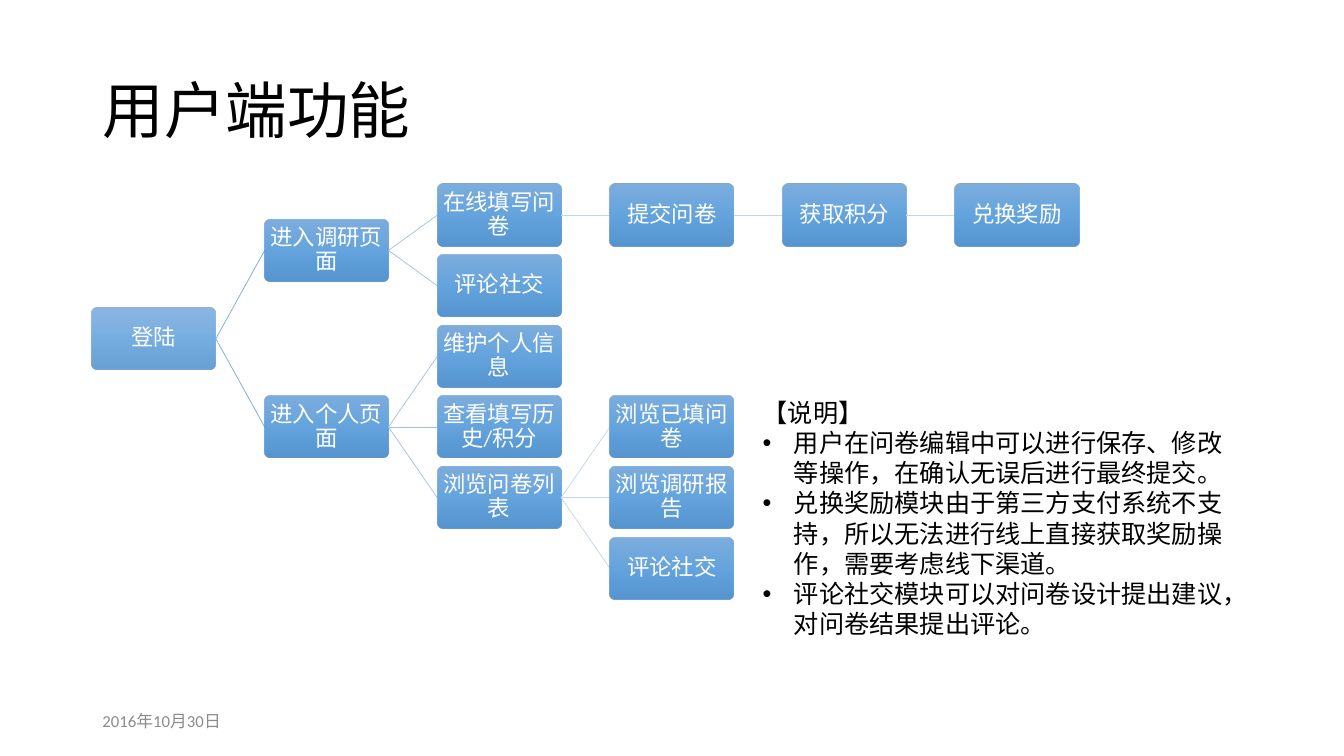
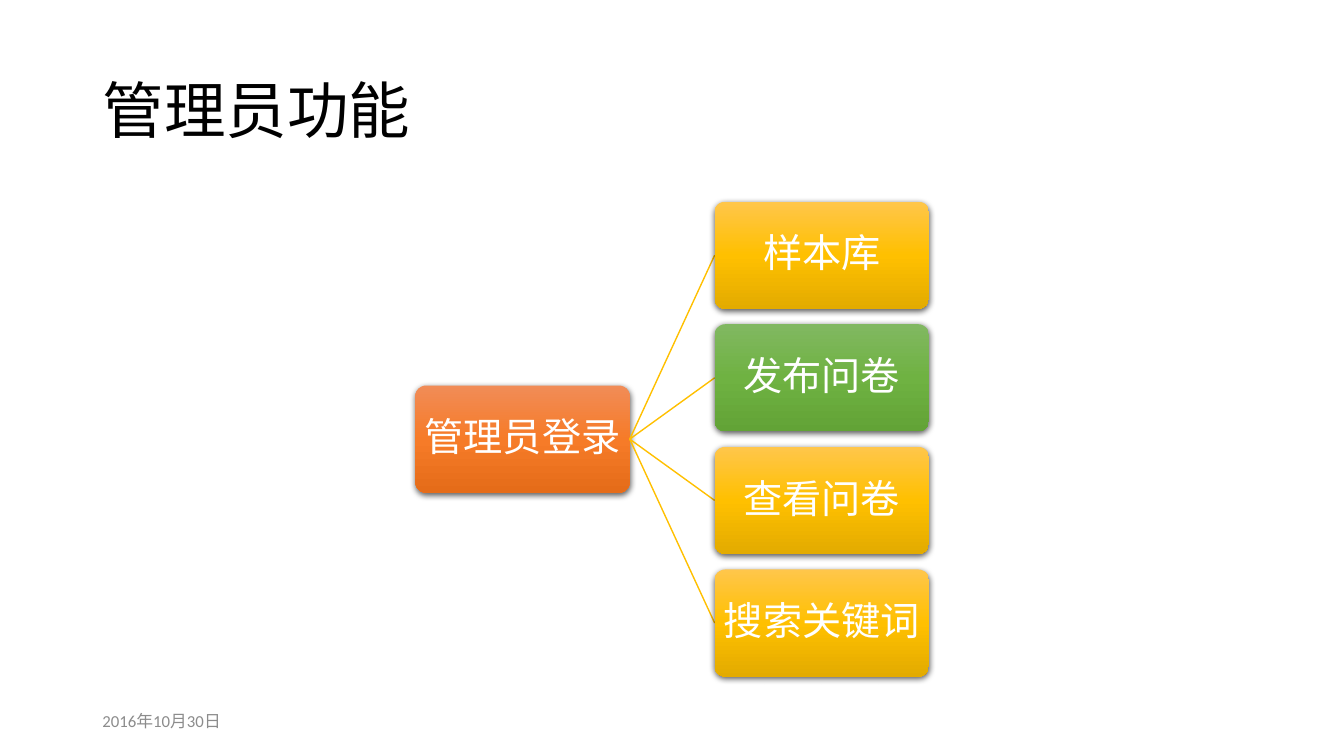
"""Build two slides that show user and administrator functions as trees."""
from dataclasses import dataclass

from lxml import etree
from pptx import Presentation, util as u
from pptx.dml.color import RGBColor
from pptx.enum import lang, shapes, text
from pptx.oxml import ns

FONT = "Calibri"
BLACK, WHITE, GREY = "000000", "FFFFFF", "8C8C8C"
BLUE = ("71A6DB", "559BDB", "448ACA")
ORANGE = ("F18C57", "F67B28", "E56C19")
GOLD = ("FFC64B", "FFC000", "E3AB00")
GREEN = ("81B861", "6FB242", "62A336")
DATE = "2016年10月30日"
MARGIN, CONTENT_WIDTH = 2.33, 29.21


@dataclass(frozen=True)
class Node:
    """A box of a tree; a parent is centred on its children."""
    label: str
    row: float = 0
    children: tuple["Node", ...] = ()
    colors: tuple[str, ...] = BLUE
    alpha: int = 90

    @property
    def level(self) -> float:
        """Return the row the box stands on."""
        if not self.children:
            return self.row
        return (self.children[0].level + self.children[-1].level) / 2


@dataclass(frozen=True)
class TreeStyle:
    """Grid in centimetres and formats of a tree."""
    left: float
    top: float
    col_step: float
    row_step: float
    width: float
    height: float
    inset: float
    size: int
    line_colors: tuple[str, ...]
    line_width: float
    shadow: bool


USER_STYLE = TreeStyle(2.32, 4.64, 4.35, 1.78, 3.12, 1.56, 0.03, 16,
                       ("7AA9DA", "A5C0E3", "C4D5EB", "C4D5EB", "C4D5EB"), 0.5, False)
ADMIN_STYLE = TreeStyle(10.47, 5.08, 7.54, 3.09, 5.4, 2.7, 0.05, 28, ("FFC000",), 1, True)

USER_TREE = Node("登陆", alpha=80, children=(
    Node("进入调研页面", children=(
        Node("在线填写问卷", children=(
            Node("提交问卷", children=(
                Node("获取积分", children=(Node("兑换奖励", 0),)),)),)),
        Node("评论社交", 1))),
    Node("进入个人页面", children=(
        Node("维护个人信息", 2),
        Node("查看填写历史/积分", 3),
        Node("浏览问卷列表", children=(
            Node("浏览已填问卷", 3),
            Node("浏览调研报告", 4),
            Node("评论社交", 5)))))))

ADMIN_TREE = Node("管理员登录", colors=ORANGE, alpha=100, children=(
    Node("样本库", 0, colors=GOLD, alpha=100),
    Node("发布问卷", 1, colors=GREEN, alpha=100),
    Node("查看问卷", 2, colors=GOLD, alpha=100),
    Node("搜索关键词", 3, colors=GOLD, alpha=100)))

NOTES = (
    "【说明】",
    "用户在问卷编辑中可以进行保存、修改等操作，在确认无误后进行最终提交。",
    "兑换奖励模块由于第三方支付系统不支持，所以无法进行线上直接获取奖励操作，需要考虑线下渠道。",
    "评论社交模块可以对问卷设计提出建议，对问卷结果提出评论。",
)


def rgb(color: str) -> RGBColor:
    """Turn a hex string into a colour."""
    return RGBColor.from_string(color)


def add_xml(parent, tag: str, **attrs):
    """Append an element with attributes to its parent."""
    return etree.SubElement(parent, ns.qn(tag), {k: str(v) for k, v in attrs.items()})


def add_bullet(p, indent: float) -> None:
    """Give a paragraph a hanging round bullet."""
    props = p._p.get_or_add_pPr()
    props.set("marL", str(u.Cm(indent)))
    props.set("indent", str(-u.Cm(indent)))
    add_xml(props, "a:buFont", typeface="Arial")
    add_xml(props, "a:buChar", char="•")


def write(tf, *lines: str, size: int, color: str = BLACK, align=text.PP_ALIGN.LEFT,
          anchor=text.MSO_ANCHOR.MIDDLE, spacing: float = 1, inset: float | None = None,
          bullets_from: int | None = None) -> None:
    """Fill a text frame with formatted paragraphs."""
    tf.word_wrap = True
    tf.auto_size = text.MSO_AUTO_SIZE.NONE
    tf.vertical_anchor = anchor
    if inset is not None:
        tf.margin_left = tf.margin_right = tf.margin_top = tf.margin_bottom = u.Cm(inset)
    for i, line in enumerate(lines):
        p = tf.add_paragraph() if i else tf.paragraphs[0]
        if bullets_from is not None and i >= bullets_from:
            add_bullet(p, 0.79)
        p.alignment, p.line_spacing = align, spacing
        r = p.add_run()
        r.text = line
        r.font.name, r.font.size = FONT, u.Pt(size)
        r.font.color.rgb = rgb(color)
        r.font.language_id = lang.MSO_LANGUAGE_ID.SIMPLIFIED_CHINESE


def add_text(slide, box: tuple[float, ...], *lines: str, **fmt) -> None:
    """Add a text box given in centimetres."""
    write(slide.shapes.add_textbox(*map(u.Cm, box)).text_frame, *lines, **fmt)


def fill_gradient(sp, colors: tuple[str, ...], alpha: int) -> None:
    """Fill a shape from top to bottom with evenly spaced colours."""
    sp.fill.gradient()
    sp.fill.gradient_angle = 270
    stops = sp._element.spPr.find(".//" + ns.qn("a:gsLst"))
    stops[:] = []
    for i, color in enumerate(colors):
        stop = add_xml(stops, "a:gs", pos=100000 * i // (len(colors) - 1))
        add_xml(add_xml(stop, "a:srgbClr", val=color), "a:alpha", val=alpha * 1000)


def add_shadow(sp) -> None:
    """Give a shape a soft shadow below it."""
    effects = sp._element.spPr.find(ns.qn("a:effectLst"))
    shadow = add_xml(effects, "a:outerShdw", blurRad=u.Pt(4.5), dist=u.Pt(1.5),
                     dir=5400000, algn="ctr", rotWithShape=0)
    add_xml(add_xml(shadow, "a:srgbClr", val=BLACK), "a:alpha", val=63000)


def add_link(slide, ends: tuple[float, ...], color: str, width: float) -> None:
    """Draw a plain line between two points."""
    line = slide.shapes.add_connector(shapes.MSO_CONNECTOR.STRAIGHT, *map(u.Cm, ends))
    line.line.color.rgb = rgb(color)
    line.line.width = u.Pt(width)
    add_xml(line._element.spPr, "a:effectLst")


def draw_tree(slide, node: Node, style: TreeStyle, col: int = 0) -> None:
    """Draw a box, then its links and its children."""
    x = style.left + col * style.col_step
    y = style.top + node.level * style.row_step
    sp = slide.shapes.add_shape(shapes.MSO_SHAPE.ROUNDED_RECTANGLE,
                                *map(u.Cm, (x, y, style.width, style.height)))
    sp.adjustments[0] = 0.1
    sp.line.fill.background()
    sp.shadow.inherit = False
    fill_gradient(sp, node.colors, node.alpha)
    if style.shadow:
        add_shadow(sp)
    write(sp.text_frame, node.label, size=style.size, color=WHITE,
          align=text.PP_ALIGN.CENTER, spacing=0.9, inset=style.inset)
    for child in node.children:
        middle = style.top + style.height / 2
        ends = (x + style.width, middle + node.level * style.row_step,
                x + style.col_step, middle + child.level * style.row_step)
        add_link(slide, ends, style.line_colors[col], style.line_width)
        draw_tree(slide, child, style, col + 1)


def add_tree_slide(prs, title: str, tree: Node, style: TreeStyle):
    """Add a slide with title, tree and date."""
    slide = prs.slides.add_slide(prs.slide_layouts[5])
    sp = slide.shapes.title
    sp.left, sp.top, sp.width, sp.height = map(u.Cm, (MARGIN, 1.01, CONTENT_WIDTH, 3.68))
    write(sp.text_frame, title, size=44, spacing=0.9)
    draw_tree(slide, tree, style)
    add_text(slide, (MARGIN, 17.65, 7.62, 1.01), DATE, size=12, color=GREY)
    return slide


def main() -> None:
    """Build and save the presentation."""
    prs = Presentation()
    prs.slide_width, prs.slide_height = u.Cm(33.87), u.Cm(19.05)
    user = add_tree_slide(prs, "用户端功能", USER_TREE, USER_STYLE)
    add_text(user, (18.97, 9.88, 12.57, 7.19), *NOTES, size=18,
             anchor=text.MSO_ANCHOR.TOP, bullets_from=1)
    add_tree_slide(prs, "管理员功能", ADMIN_TREE, ADMIN_STYLE)
    prs.save("out.pptx")


if __name__ == "__main__":
    main()
